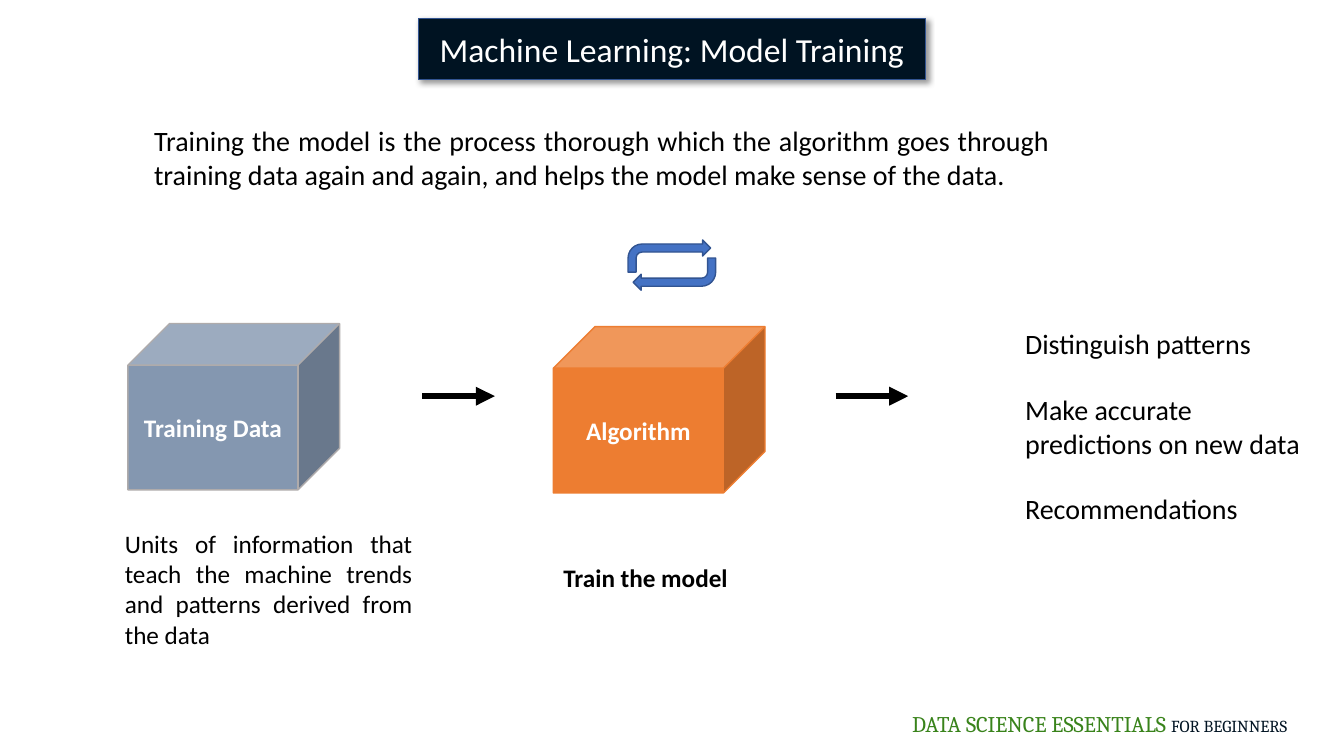
from lxml.etree import SubElement
from pptx import Presentation
from pptx.dml.color import RGBColor
from pptx.enum.shapes import MSO_CONNECTOR, MSO_SHAPE as SHAPE
from pptx.enum.text import MSO_ANCHOR as ANCHOR, MSO_AUTO_SIZE as AUTO, PP_ALIGN as ALIGN
from pptx.oxml import parse_xml
from pptx.oxml.ns import nsdecls, qn
from pptx.util import Pt

COLORS = {
    "black": "000000",
    "white": "FFFFFF",
    "navy": "001322",
    "blue": "4472C4",
    "edge": "325491",
    "slate": "8497B0",
    "grey": "AFABAB",
    "orange": "ED7D31",
    "green": "39831B",
}
OUTCOMES = [
    "Distinguish patterns",
    "Make accurate predictions on new data",
    "Recommendations",
]


def color(name):
    return RGBColor.from_string(COLORS[name])


def shadow_effect():
    return parse_xml(
        f'<a:effectLst {nsdecls("a")}>'
        '<a:outerShdw blurRad="50800" dist="38100" dir="2700000" algn="tl" rotWithShape="0">'
        '<a:srgbClr val="000000"><a:alpha val="40000"/></a:srgbClr>'
        '</a:outerShdw></a:effectLst>'
    )


def add_run(paragraph, text, size, ink="black", bold=False, face="Calibri"):
    run = paragraph.add_run()
    run.text = text
    run.font.size = Pt(size)
    run.font.bold = bold
    run.font.name = face
    run.font.color.rgb = color(ink)
    return run


def paint(shape, fill, edge):
    shape.fill.solid()
    shape.fill.fore_color.rgb = color(fill)
    shape.line.color.rgb = color(edge)
    shape.line.width = Pt(1)


def place(shape, left, top, width, height):
    shape.left, shape.top = Pt(left), Pt(top)
    shape.width, shape.height = Pt(width), Pt(height)


def fill_title(title):
    place(title, 298.8, 13, 362.2, 43.9)
    paint(title, "navy", "edge")
    title._element.spPr.append(shadow_effect())
    frame = title.text_frame
    frame.auto_size = AUTO.NONE
    frame.vertical_anchor = ANCHOR.MIDDLE
    heading = frame.paragraphs[0]
    heading.alignment = ALIGN.CENTER
    add_run(heading, "Machine Learning: Model Training", 24, "white")


def fill_outcomes(body):
    place(body, 725, 229.7, 216.7, 151.2)
    frame = body.text_frame
    frame.auto_size = AUTO.NONE
    for index, outcome in enumerate(OUTCOMES):
        paragraph = frame.paragraphs[0] if index == 0 else frame.add_paragraph()
        properties = paragraph._p.get_or_add_pPr()
        properties.set("marL", "0")
        properties.set("indent", "0")
        SubElement(properties, qn("a:buNone"))
        paragraph.alignment = ALIGN.LEFT
        paragraph.line_spacing = 1.0
        paragraph.space_before = Pt(23 if index else 0)
        add_run(paragraph, outcome, 20)


def add_text(slide, left, top, width, height, align=ALIGN.JUSTIFY):
    box = slide.shapes.add_textbox(Pt(left), Pt(top), Pt(width), Pt(height))
    box.text_frame.word_wrap = True
    paragraph = box.text_frame.paragraphs[0]
    paragraph.alignment = align
    return paragraph


def add_cube(slide, left, top, label, fill, edge):
    cube = slide.shapes.add_shape(SHAPE.CUBE, Pt(left), Pt(top), Pt(151.2), Pt(118.8))
    cube.shadow.inherit = False
    paint(cube, fill, edge)
    frame = cube.text_frame
    frame.word_wrap = True
    frame.vertical_anchor = ANCHOR.MIDDLE
    frame.paragraphs[0].alignment = ALIGN.CENTER
    add_run(frame.paragraphs[0], label, 18, "white", True)


def add_loop(slide):
    loop = slide.shapes.add_group_shape()
    for left, top, turn in ((448.6, 171.4, 0), (452.2, 184.3, 180)):
        bend = loop.shapes.add_shape(SHAPE.BENT_ARROW, Pt(left), Pt(top), Pt(59), Pt(23))
        bend.rotation = turn
        bend.shadow.inherit = False
        paint(bend, "blue", "edge")


def add_arrow(slide, left):
    y = Pt(283)
    arrow = slide.shapes.add_connector(MSO_CONNECTOR.STRAIGHT, Pt(left), y, Pt(left + 51.8), y)
    arrow.line.color.rgb = color("black")
    arrow.line.width = Pt(4.5)
    SubElement(arrow.line._get_or_add_ln(), qn("a:tailEnd"), type="triangle")
    SubElement(arrow._element.spPr, qn("a:effectLst"))


def add_course_name(slide):
    course = add_text(slide, 644.4, 504, 315.4, 26.6, ALIGN.LEFT)
    for text, size, ink in (("DATA SCIENCE ESSENTIALS ", 16, "green"), ("FOR BEGINNERS", 12, "navy")):
        run = add_run(course, text, size, ink, face="Cambria")
        run.font.fill._xPr.find(qn("a:solidFill")).addnext(shadow_effect())


def main():
    deck = Presentation()
    deck.slide_width, deck.slide_height = Pt(960), Pt(540)
    slide = deck.slides.add_slide(deck.slide_layouts[1])

    fill_title(slide.shapes.title)
    fill_outcomes(slide.placeholders[1])

    intro = add_text(slide, 103, 85, 653.8, 55.4)
    add_run(intro, "Training the model is the process thorough which the algorithm goes through "
                   "training data again and again, and helps the model make sense of the data.", 20)

    add_cube(slide, 91.4, 231.1, "Training Data", "slate", "grey")
    data_note = add_text(slide, 82.1, 373.7, 219.6, 94.3)
    add_run(data_note, "Units of information that teach the machine trends "
                       "and patterns derived from the data", 18)

    add_cube(slide, 395.3, 233.3, "Algorithm", "orange", "orange")
    add_loop(slide)
    training_note = add_text(slide, 395.3, 398.2, 219.6, 28.8)
    add_run(training_note, "Train the model", 18, bold=True)

    for left in (301.7, 596.9):
        add_arrow(slide, left)
    add_course_name(slide)
    deck.save("out.pptx")


if __name__ == "__main__":
    main()
